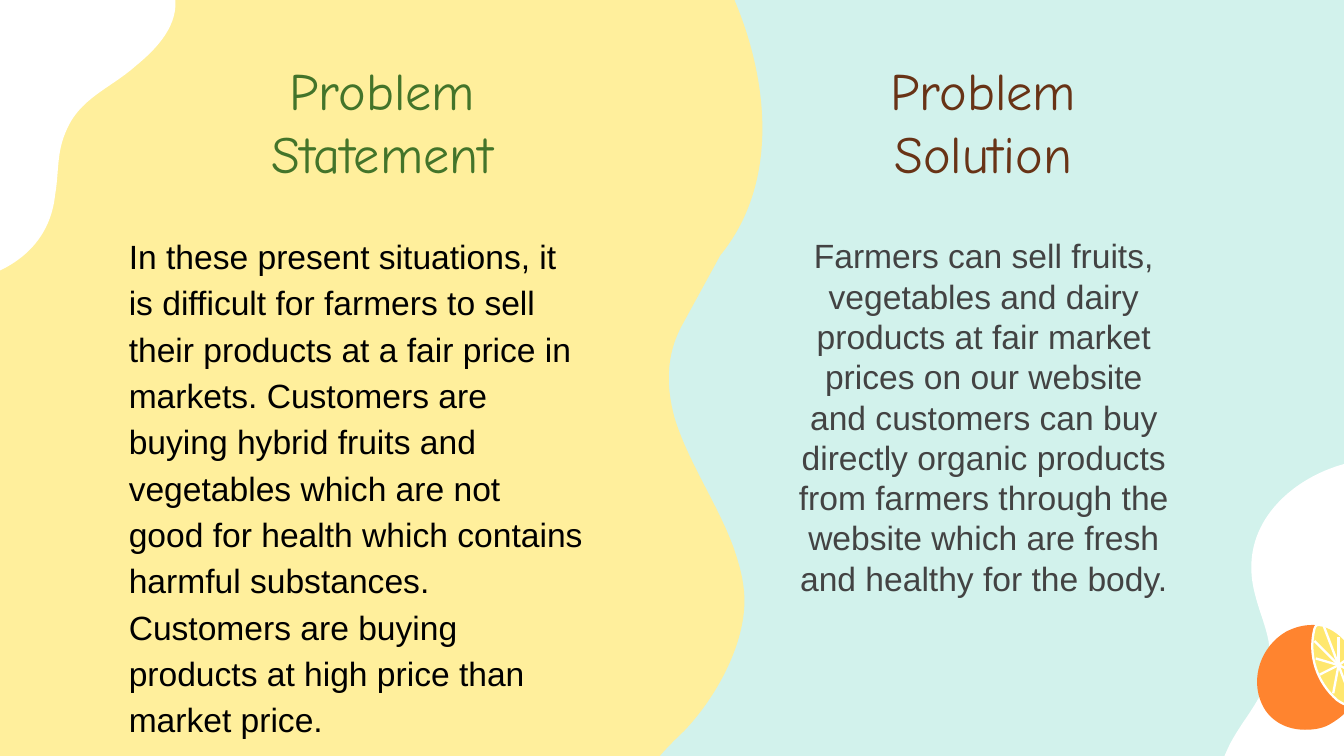
from lxml import etree
from pptx import Presentation
from pptx import util as u
from pptx.dml.color import RGBColor
from pptx.enum import shapes, text
from pptx.oxml.ns import qn

YELLOW = RGBColor(0xFF, 0xEF, 0x9C)
MINT = RGBColor(0xD2, 0xF2, 0xEC)
WHITE = RGBColor(0xFF, 0xFF, 0xFF)
ORANGE = RGBColor(0xFF, 0x84, 0x2F)
LEMON = RGBColor(0xFF, 0xE7, 0x6E)
GREEN = RGBColor(0x43, 0x74, 0x2A)
BROWN = RGBColor(0x68, 0x33, 0x16)
GREY = RGBColor(0x43, 0x43, 0x43)
BLACK = RGBColor(0, 0, 0)

prs = Presentation()
prs.slide_width = u.Inches(10)
prs.slide_height = prs.slide_width * 9 // 16
UNIT = prs.slide_width // 1000  # every length below is in thousandths of the slide width

s = prs.slides.add_slide(prs.slide_layouts[6])
s.background.fill.solid()
s.background.fill.fore_color.rgb = MINT


def add_blob(start, segments, fill):
    """Closed outline; a segment is a Bezier (two controls, end) or a line (end)."""
    fb = s.shapes.build_freeform(start[0] * UNIT, start[1] * UNIT)
    fb.add_line_segments([(seg[-2] * UNIT, seg[-1] * UNIT) for seg in segments], close=True)
    sp = fb.convert_to_shape()
    for line, seg in zip(list(sp.element.iter(qn("a:lnTo"))), segments):
        if len(seg) == 6:
            curve = etree.Element(qn("a:cubicBezTo"))
            for x, y in zip(seg[::2], seg[1::2]):
                etree.SubElement(curve, qn("a:pt"), x=str(x * UNIT - sp.left),
                                 y=str(y * UNIT - sp.top))
            line.getparent().replace(line, curve)
    sp.shadow.inherit = False
    sp.fill.solid()
    sp.fill.fore_color.rgb = fill
    sp.line.fill.background()
    return sp


def add_text(box, words, size, font, color, align, anchor, spacing=None):
    tf = s.shapes.add_textbox(*(v * UNIT for v in box)).text_frame
    tf.word_wrap = True
    tf.vertical_anchor = anchor
    tf.margin_left = tf.margin_right = tf.margin_top = tf.margin_bottom = 10 * UNIT
    p = tf.paragraphs[0]
    p.text = words
    p.alignment = align
    p.line_spacing = spacing
    p.font.size, p.font.name, p.font.color.rgb = u.Pt(size), font, color


# Background: wavy yellow half, then white corners
add_blob((364, 620), [
    (375, 655, 405, 686, 437, 701), (446, 706, 457, 709, 465, 704),
    (472, 700, 475, 692, 476, 685), (479, 659, 470, 633, 471, 607),
    (473, 580, 490, 562, 509, 544), (532, 520, 554, 481, 554, 447),
    (554, 437, 552, 427, 549, 417), (539, 382, 513, 347, 502, 311),
    (496, 289, 495, 266, 507, 243), (536, 190),
    (572, 146, 574, 86, 557, 29), (542, -21, 512, -68, 479, -98),
    (473, -103, 448, -91, 439, -87), (417, -78, 394, -69, 372, -57),
    (345, -43, 318, -30, 292, -15), (274, -3, 259, 13, 241, 22),
    (231, 46, 231, 84, 231, 109), (231, 117, 232, 124, 234, 131),
    (240, 151, 253, 168, 264, 186), (277, 205, 289, 226, 296, 248),
    (298, 254, 299, 261, 300, 267), (304, 295, 297, 321, 298, 349),
    (298, 372, 302, 394, 309, 415), (316, 438, 325, 460, 337, 481),
    (344, 493, 348, 504, 352, 516), (355, 526, 357, 536, 358, 547),
    (362, 571, 357, 596, 364, 620)], YELLOW)

sp = s.shapes.add_shape(shapes.MSO_SHAPE.RECTANGLE,
                        *(v * UNIT for v in (-50, -42, 456, 627)))
sp.shadow.inherit = False
sp.fill.solid()
sp.fill.fore_color.rgb = YELLOW
sp.line.fill.background()

add_blob((953, 372), [
    (991, 334, 1066, 327, 1096, 375), (1111, 420),
    (1118, 466, 1182, 474, 1163, 529), (1158, 545, 1146, 562, 1131, 577),
    (1094, 614, 1037, 643, 997, 645), (969, 646, 926, 641, 909, 614),
    (897, 595, 906, 573, 915, 554), (927, 531, 945, 516, 945, 489),
    (945, 472, 938, 459, 934, 443), (926, 414, 935, 390, 953, 372)], WHITE)
add_blob((-4, 203), [
    (-53, 223, -125, 201, -135, 145), (-131, 98),
    (-120, 53, -175, 21, -137, -23), (-126, -36, -109, -47, -89, -55),
    (-41, -75, 23, -80, 60, -66), (87, -56, 125, -35, 130, -4),
    (134, 18, 117, 36, 101, 49), (82, 66, 59, 73, 49, 98),
    (42, 114, 44, 128, 41, 145), (38, 174, 20, 193, -4, 203)], WHITE)

# Headings and body text
LEFT, CENTER = text.PP_ALIGN.LEFT, text.PP_ALIGN.CENTER
TOP, MIDDLE = text.MSO_ANCHOR.TOP, text.MSO_ANCHOR.MIDDLE
for box, words, color in (((617, 42, 229, 96), "Problem Solution", BROWN),
                          ((163, 42, 243, 96), "Problem Statement", GREEN)):
    add_text(box, words, 28, "Comic Neue", color, CENTER, MIDDLE)

add_text((584, 165, 296, 326),
         "Farmers can sell fruits, vegetables and dairy products at fair market prices "
         "on our website and customers can buy directly organic products from farmers "
         "through the website which are fresh and healthy for the body.",
         18, "Arial", GREY, CENTER, TOP)
add_text((86, 161, 358, 383),
         "In these present situations, it is difficult for farmers to sell their products "
         "at a fair price in markets. Customers are buying hybrid fruits and vegetables "
         "which are not good for health which contains harmful substances. Customers are "
         "buying products at high price than market price.",
         18, "Arial", BLACK, LEFT, TOP, 1.15)

# Orange: peel, cut face, spokes
add_blob((977, 465), [
    (969, 465, 963, 467, 957, 470), (938, 481, 930, 505, 939, 524),
    (945, 537, 958, 543, 971, 543), (978, 543, 985, 542, 991, 538),
    (996, 535, 1001, 531, 1005, 526), (1012, 516, 1012, 504, 1009, 493),
    (1007, 486, 1004, 480, 1000, 475), (993, 468, 986, 465, 977, 465)], ORANGE)
face = add_blob((980, 465), [
    (979, 466, 978, 467, 978, 468), (973, 488, 980, 508, 995, 521),
    (998, 523, 1001, 525, 1005, 525), (1012, 516, 1012, 504, 1009, 493),
    (1008, 486, 1004, 480, 1000, 475), (993, 468, 986, 465, 980, 465)], LEMON)
face.line.color.rgb = WHITE
face.line.width = u.Pt(1.23)

core = (996 * UNIT, 495 * UNIT)
fb = s.shapes.build_freeform(*core)
for x, y in ((985, 466), (978, 477), (979, 490), (982, 502), (992, 516),
             (1006, 522), (1009, 501), (1006, 488), (996, 474)):
    fb.move_to(*core)
    fb.add_line_segments([(x * UNIT, y * UNIT)], close=False)
spokes = fb.convert_to_shape()
spokes.shadow.inherit = False
spokes.fill.background()
spokes.line.color.rgb = WHITE
spokes.line.width = u.Pt(1.25)

prs.save("out.pptx")
